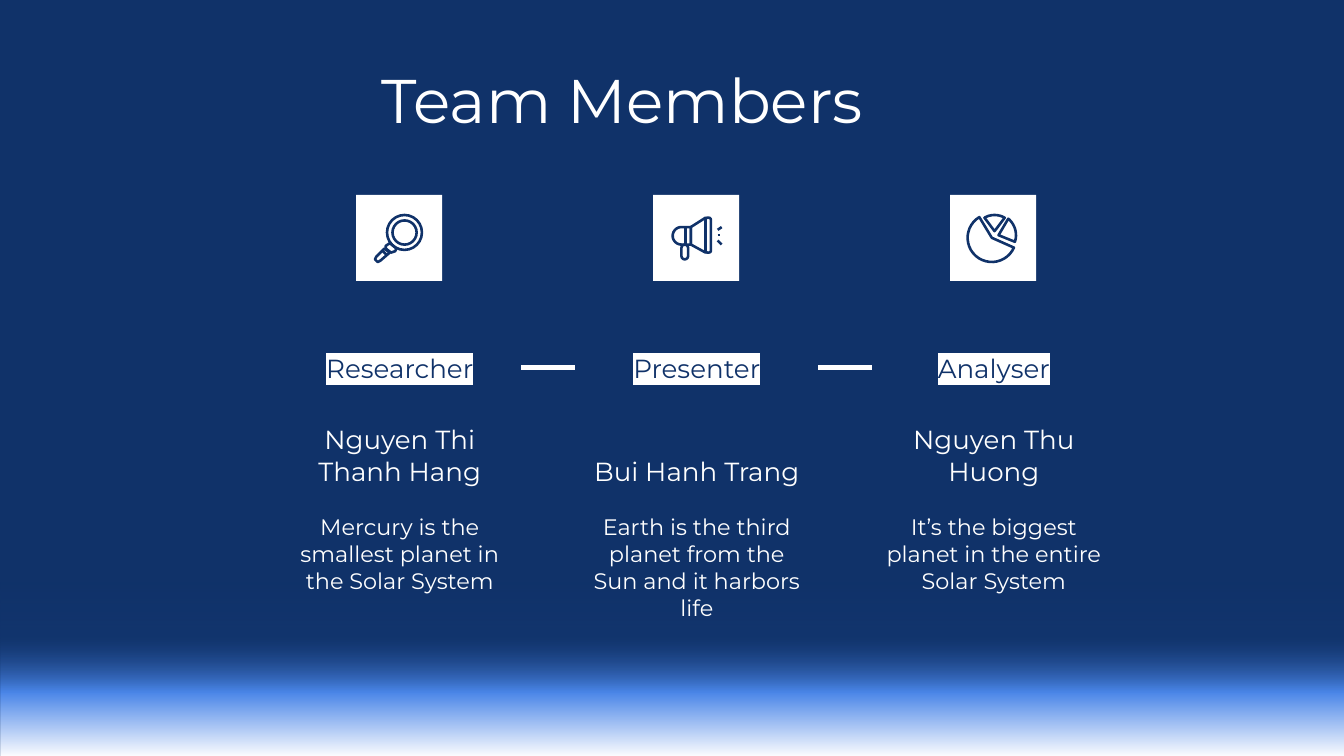
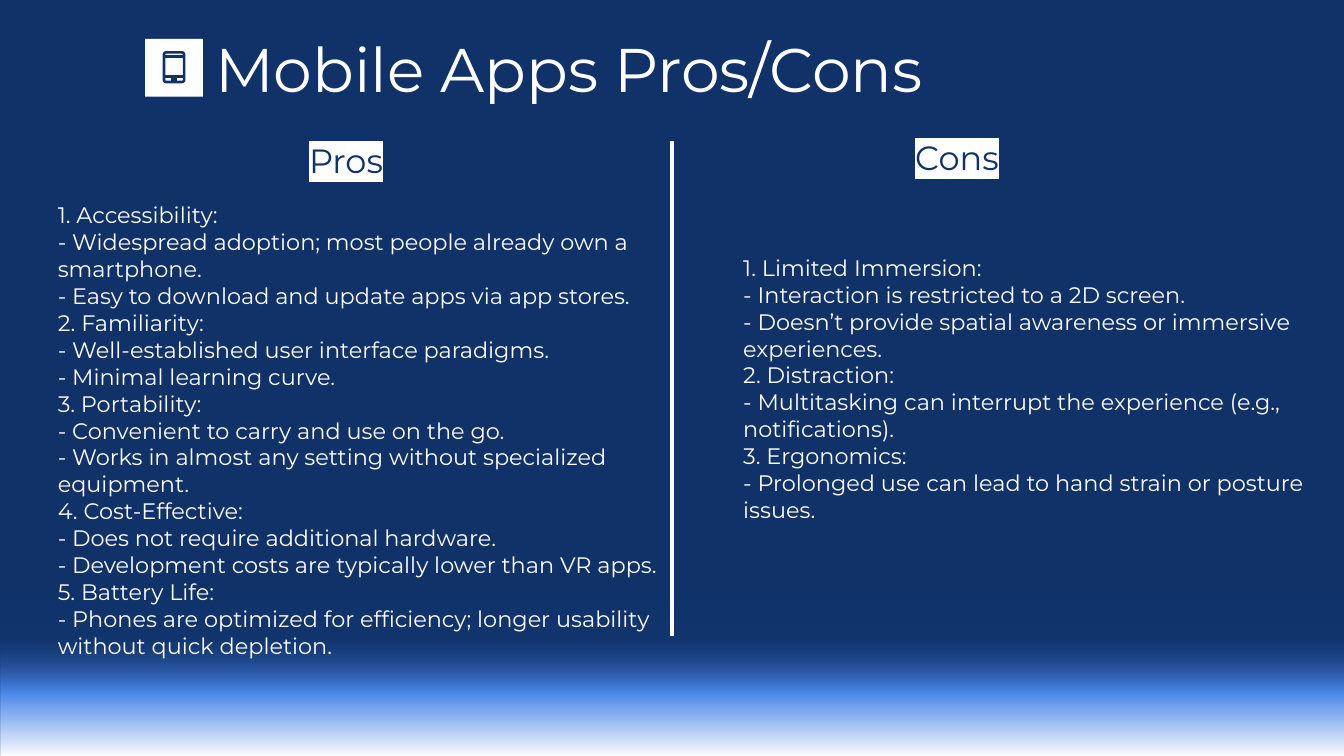
from math import cos, radians, sin

from pptx import Presentation
from pptx.dml.color import RGBColor
from pptx.enum.shapes import MSO_CONNECTOR as CONN, MSO_SHAPE as SHAPE
from pptx.enum.text import MSO_ANCHOR as ANCHOR, MSO_AUTO_SIZE as AUTO, PP_ALIGN as ALIGN
from pptx.oxml import parse_xml
from pptx.oxml.ns import nsdecls, qn
from pptx.util import Pt

EMU_PER_PX = 9144  # 100 px to the inch
FONT = "Montserrat"
COLORS = {"navy": "103269", "white": "FFFFFF", "deep": "1C4587", "blue": "4A86E8"}
ICON_LINE = 1.4
RULE_LINE = 2.25

MEMBERS = [
    ("Researcher", "Nguyen Thi Thanh Hang", "Mercury is the smallest planet in the Solar System"),
    ("Presenter", "Bui Hanh Trang", "Earth is the third planet from the Sun and it harbors life"),
    ("Analyser", "Nguyen Thu Huong", "It’s the biggest planet in the entire Solar System"),
]
PROS = [
    "1. Accessibility:",
    "- Widespread adoption; most people already own a smartphone.",
    "- Easy to download and update apps via app stores.",
    "2. Familiarity:",
    "- Well-established user interface paradigms.",
    "- Minimal learning curve.",
    "3. Portability:",
    "- Convenient to carry and use on the go.",
    "- Works in almost any setting without specialized equipment.",
    "4. Cost-Effective:",
    "- Does not require additional hardware.",
    "- Development costs are typically lower than VR apps.",
    "5. Battery Life:",
    "- Phones are optimized for efficiency; longer usability without quick depletion.",
]
CONS = [
    "1. Limited Immersion:",
    "- Interaction is restricted to a 2D screen.",
    "- Doesn’t provide spatial awareness or immersive experiences.",
    "2. Distraction:",
    "- Multitasking can interrupt the experience (e.g., notifications).",
    "3. Ergonomics:",
    "- Prolonged use can lead to hand strain or posture issues.",
]


def px(n):
    return round(n * EMU_PER_PX)


def rgb(name):
    return RGBColor.from_string(COLORS[name])


def place(shape, box):
    shape.left, shape.top, shape.width, shape.height = map(px, box)


def write(shape, lines, size, color="white", align=ALIGN.LEFT, anchor=ANCHOR.MIDDLE,
          highlight=None):
    """Fill a shape with one paragraph per line; lines with a dash go to level 1."""
    tf = shape.text_frame
    tf.word_wrap, tf.auto_size, tf.vertical_anchor = True, AUTO.NONE, anchor
    tf.margin_left = tf.margin_top = tf.margin_right = tf.margin_bottom = px(10)
    for i, line in enumerate(lines):
        p = tf.add_paragraph() if i else tf.paragraphs[0]
        p.alignment, p.level = align, int(line.startswith("- "))
        p.space_before = Pt(0)
        pPr = p._p.get_or_add_pPr()
        pPr.set("marL", "0")
        pPr.set("indent", "0")
        pPr.append(parse_xml(f"<a:buNone {nsdecls('a')}/>"))
        r = p.add_run()
        r.text = line
        r.font.size, r.font.bold, r.font.name = Pt(size), False, FONT
        r.font.color.rgb = rgb(color)
        if highlight:
            r._r.rPr.find(qn("a:solidFill")).addnext(parse_xml(
                f'<a:highlight {nsdecls("a")}><a:srgbClr val="{COLORS[highlight]}"/></a:highlight>'))


def add_text(s, box, text, size, **fmt):
    tb = s.shapes.add_textbox(*map(px, box))
    write(tb, [text], size, **fmt)
    return tb


def add_title(s, box, text):
    place(s.shapes.title, box)
    write(s.shapes.title, [text], 33)


def add_line(s, x1, y1, x2, y2, color="white", width=RULE_LINE):
    c = s.shapes.add_connector(CONN.STRAIGHT, px(x1), px(y1), px(x2), px(y2))
    c.line.color.rgb, c.line.width = rgb(color), Pt(width)
    c.element.spPr.append(parse_xml(f"<a:effectLst {nsdecls('a')}/>"))
    return c


class IconTile:
    """White square with a line icon, whose strokes are placed from its corner."""

    def __init__(self, s, x, y, side):
        self.s, self.x, self.y = s, x, y
        tile = s.shapes.add_shape(SHAPE.RECTANGLE, px(x), px(y), px(side), px(side))
        tile.shadow.inherit = False
        tile.fill.solid()
        tile.fill.fore_color.rgb = rgb("white")
        tile.line.fill.background()

    def outline(self, shape):
        shape.shadow.inherit = False
        shape.fill.background()
        shape.line.color.rgb, shape.line.width = rgb("navy"), Pt(ICON_LINE)

    def preset(self, kind, x, y, w, h):
        shape = self.s.shapes.add_shape(kind, px(self.x + x), px(self.y + y), px(w), px(h))
        self.outline(shape)
        return shape

    def rounded(self, x, y, w, h, radius):
        self.preset(SHAPE.ROUNDED_RECTANGLE, x, y, w, h).adjustments[0] = radius

    def polygon(self, points):
        points = [(px(self.x + x), px(self.y + y)) for x, y in points]
        fb = self.s.shapes.build_freeform(*points[0])
        fb.add_line_segments(points[1:], close=True)
        self.outline(fb.convert_to_shape())

    def stroke(self, x1, y1, x2, y2):
        add_line(self.s, self.x + x1, self.y + y1, self.x + x2, self.y + y2, "navy", ICON_LINE)


def arc(cx, cy, radius, start, end, steps=24):
    angles = [radians(start + (end - start) * i / steps) for i in range(steps + 1)]
    return [(cx + radius * cos(a), cy + radius * sin(a)) for a in angles]


def draw_magnifier(tile):
    tile.preset(SHAPE.OVAL, 23, 15, 26, 26)
    tile.preset(SHAPE.OVAL, 27, 19, 18, 18)
    tile.polygon([(25, 36), (22, 38), (22, 40), (26, 43), (29, 42), (30, 40)])
    tile.polygon([(21, 40), (15, 46), (14, 48), (16, 50), (18, 49), (25, 43)])
    tile.stroke(20, 42, 23, 45)


def draw_megaphone(tile):
    tile.polygon([(28, 24), *arc(21, 30.5, 6.5, 270, 90), (28, 37)])
    tile.stroke(24, 24, 24, 37)
    tile.polygon([(28, 24), (39, 17), (39, 43), (28, 37)])
    tile.rounded(39, 17, 4, 26, 0.4)
    tile.rounded(21, 37, 5, 11, 0.5)
    for y1, x2, y2 in [(26, 51, 24), (30, 50, 30), (34, 51, 37)]:
        tile.stroke(48, y1, x2, y2)


def draw_pie(tile):
    tile.polygon([(31, 32), *arc(31, 32, 18, 24, 239)])
    tile.polygon([(36, 30), *arc(33, 30, 16, -50, 18)])
    tile.polygon([(33, 27), *arc(33, 30, 15, -120, -60)])


def draw_phone(tile):
    tile.rounded(14, 10, 15, 22, 0.1)
    tile.stroke(14, 13, 29, 13)
    tile.stroke(14, 28, 29, 28)
    tile.stroke(19, 30, 24, 30)


def add_member(s, x, y, w, member, draw_icon):
    """Place one member's column and return its role label."""
    role, name, about = member
    draw_icon(IconTile(s, x + (w - 64) // 2, y, 64))
    label = add_text(s, (x, y + 95, w, 67), role, 14, color="navy", align=ALIGN.CENTER,
                     highlight="white")
    add_text(s, (x, y + 176, w, 51), name, 14, align=ALIGN.CENTER, anchor=ANCHOR.BOTTOM)
    add_text(s, (x, y + 227, w, 68), about, 12, align=ALIGN.CENTER, anchor=ANCHOR.TOP)
    return label


def team_slide(prs):
    s = prs.slides.add_slide(prs.slide_layouts.get_by_name("Title Only"))
    add_title(s, (274, 29, 556, 89), "Team Members")
    w, gap = 181, 40
    icons = [draw_magnifier, draw_megaphone, draw_pie]
    labels = [add_member(s, 207 + i * (w + gap), 145, w, member, icon)
              for i, (member, icon) in enumerate(zip(MEMBERS, icons))]
    for left, right in zip(labels, labels[1:]):
        c = add_line(s, 0, 0, gap, 0)
        c.begin_connect(left, 3)
        c.end_connect(right, 1)


def fill_column(heading, heading_box, text, body, body_box, lines):
    place(heading, heading_box)
    write(heading, [text], 18, color="navy", highlight="white")
    place(body, body_box)
    write(body, lines, 12)


def pros_cons_slide(prs):
    s = prs.slides.add_slide(prs.slide_layouts.get_by_name("Comparison"))
    add_title(s, (150, 6, 744, 89), "Mobile Apps Pros/Cons")
    draw_phone(IconTile(s, 108, 29, 43))
    ph = s.placeholders
    fill_column(ph[1], (220, 90, 238, 58), "Pros", ph[2], (33, 278, 467, 84), PROS)
    fill_column(ph[3], (671, 88, 238, 58), "Cons", ph[4], (543, 152, 454, 274), CONS)
    add_line(s, 500, 105, 500, 473)


def style_master(prs):
    """Give the master its navy background and the glowing band at the foot."""
    master = prs.slide_master
    master.background.fill.solid()
    master.background.fill.fore_color.rgb = rgb("navy")
    band = prs.slides[0].shapes.add_shape(SHAPE.RECTANGLE, 0, px(433), px(1000), px(130))
    band.rotation = 180
    band.shadow.inherit = False
    band.line.fill.background()
    band.fill.background()
    stops = "".join(
        f'<a:gs pos="{pos * 1000}"><a:srgbClr val="{COLORS[color]}">'
        f'<a:alpha val="{alpha * 1000}"/></a:srgbClr></a:gs>'
        for pos, color, alpha in [(0, "deep", 0), (32, "deep", 15), (63, "blue", 100),
                                  (100, "white", 100)])
    spPr = band.element.spPr
    spPr.replace(spPr.find(qn("a:noFill")), parse_xml(
        f'<a:gradFill {nsdecls("a")} rotWithShape="1"><a:gsLst>{stops}</a:gsLst>'
        '<a:lin ang="16200000" scaled="0"/></a:gradFill>'))
    master.shapes.element.insert(2, band.element)


def main():
    prs = Presentation()
    prs.slide_width, prs.slide_height = px(1000), px(1000) * 9 // 16
    team_slide(prs)
    pros_cons_slide(prs)
    style_master(prs)
    prs.save("out.pptx")


if __name__ == "__main__":
    main()
